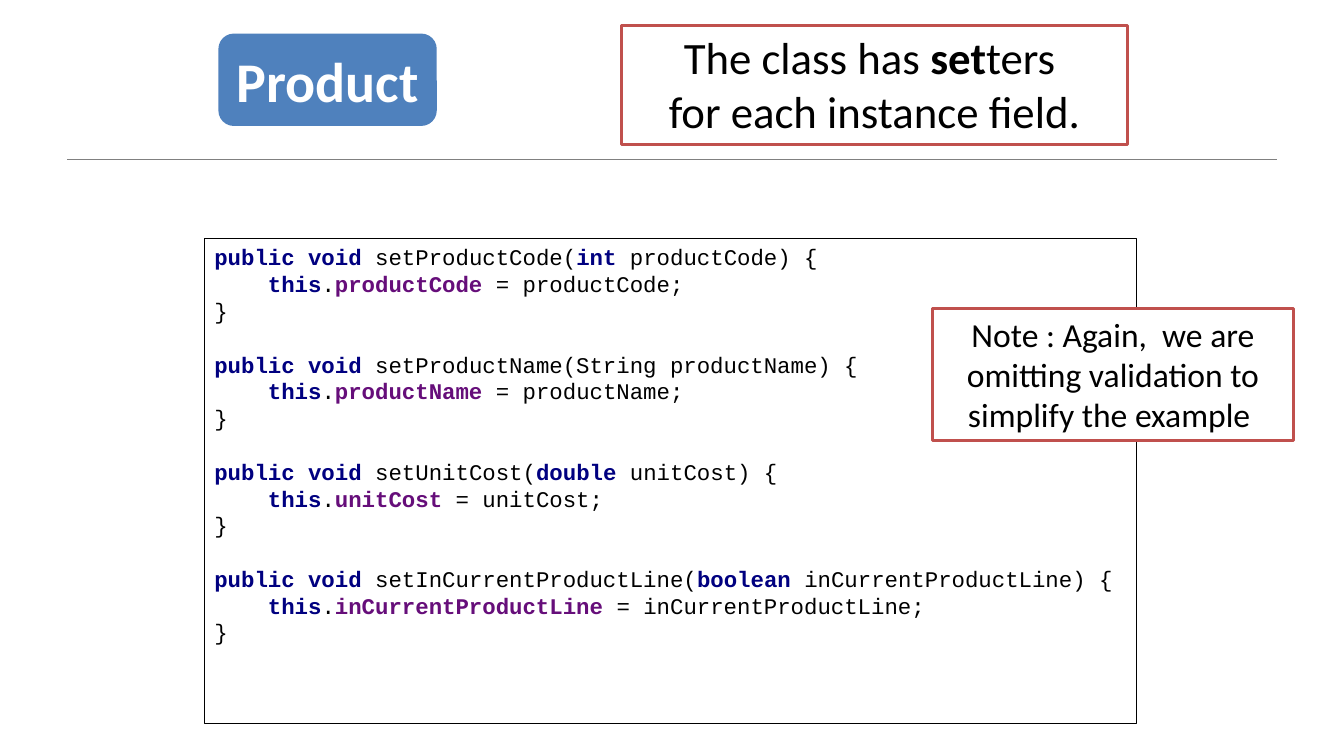
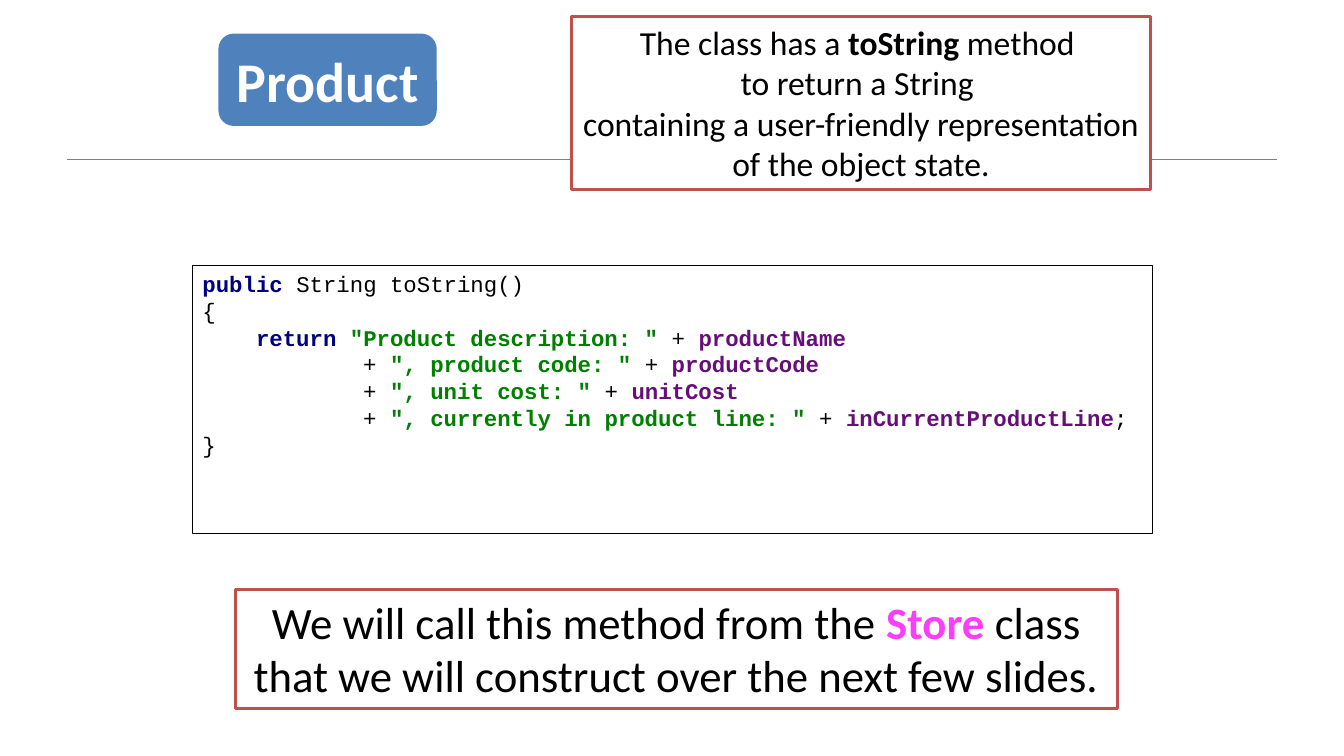
from lxml import etree
from pptx import Presentation
from pptx.dml.color import RGBColor
from pptx.enum.shapes import MSO_CONNECTOR, MSO_SHAPE
from pptx.enum.text import MSO_ANCHOR, PP_ALIGN
from pptx.oxml.ns import qn
from pptx.util import Pt

BLACK, WHITE, GRAY = "000000", "FFFFFF", "808080"
BLUE, RED, PINK = "4F81BD", "C0504D", "FA3EF9"
WORD, FIELD, QUOTE = "000080", "660E7A", "008000"
SANS, MONO = "Calibri", "Courier New"
LEAD = 19.15


def color(code):
    return RGBColor.from_string(code)


def add_box(slide, kind, area, fill, edge=None, width=1):
    box = slide.shapes.add_shape(kind, *map(Pt, area))
    box.shadow.inherit = False
    box.fill.solid()
    box.fill.fore_color.rgb = color(fill)
    if edge:
        box.line.color.rgb = color(edge)
        box.line.width = Pt(width)
    else:
        box.line.fill.background()
    return box


def write(box, lines, font, size, align, anchor):
    """Write one paragraph per line; a line is a list of (text, colour, bold)."""
    frame = box.text_frame
    frame.word_wrap = True
    frame.vertical_anchor = anchor
    for i, line in enumerate(lines):
        para = frame.add_paragraph() if i else frame.paragraphs[0]
        para.alignment = align
        for text, tint, bold in line:
            run = para.add_run()
            run.text = text
            run.font.name = font
            run.font.size = Pt(size)
            run.font.bold = bold
            run.font.color.rgb = color(tint)


def plain(text):
    return text, BLACK, False


def strong(text, tint=BLACK):
    return text, tint, True


def add_rule(slide):
    rule = slide.shapes.add_connector(
        MSO_CONNECTOR.STRAIGHT, Pt(48), Pt(114), Pt(912), Pt(114))
    rule.line.color.rgb = color(GRAY)
    rule.line.width = Pt(0.5)
    etree.SubElement(rule._element.spPr, qn("a:effectLst"))


def add_badge(slide, name):
    box = add_box(slide, MSO_SHAPE.ROUNDED_RECTANGLE, (156, 24, 156, 66), BLUE)
    write(box, [[strong(name, WHITE)]], SANS, 40, PP_ALIGN.CENTER, MSO_ANCHOR.MIDDLE)


def add_callout(slide, area, size, lines):
    box = add_box(slide, MSO_SHAPE.RECTANGLE, area, WHITE, RED, 2)
    write(box, lines, SANS, size, PP_ALIGN.CENTER, MSO_ANCHOR.TOP)


def add_code(slide, area, blocks):
    """Show blocks of code lines, one line of space between blocks."""
    box = add_box(slide, MSO_SHAPE.RECTANGLE, area, WHITE, BLACK, 0.75)
    lines = [line for block in blocks for line in block]
    write(box, lines, MONO, 16, PP_ALIGN.LEFT, MSO_ANCHOR.TOP)
    paras = box.text_frame.paragraphs
    for para in paras:
        para.line_spacing = Pt(LEAD)
    start = 0
    for block in blocks[:-1]:
        start += len(block)
        paras[start].space_before = Pt(LEAD)


def setter(kind, field):
    name = "set" + field[0].upper() + field[1:]
    style = plain if kind == "String" else lambda text: strong(text, WORD)
    return [
        [strong("public void ", WORD), plain(name + "("), style(kind + " "),
         plain(field + ") {")],
        [plain("    "), strong("this", WORD), plain("."),
         strong(field + " ", FIELD), plain(f"= {field};")],
        [plain("}")],
    ]


def describe(parts):
    """Give the code of a toString method joining (label, field) pairs."""
    lines = [[strong("public ", WORD), plain("String toString()")], [plain("{")]]
    for i, (label, field) in enumerate(parts):
        head = [plain(" " * 12 + "+ ")] if i else [plain("    "), strong("return ", WORD)]
        lines.append(head + [strong(f'"{label}: " ', QUOTE), plain("+ "),
                             strong(field, FIELD)])
    lines[-1].append(plain(";"))
    return lines + [[plain("}")]]


def add_slide(deck):
    slide = deck.slides.add_slide(deck.slide_layouts[6])
    add_rule(slide)
    add_badge(slide, "Product")
    return slide


def show_setters(deck):
    slide = add_slide(deck)
    add_callout(slide, (444, 18, 361.5, 85), 32, [
        [plain("The class has "), strong("set"), plain("ters ")],
        [plain("for each instance field.")]])
    add_code(slide, (146, 170.5, 666, 346.5), [
        setter("int", "productCode"),
        setter("String", "productName"),
        setter("double", "unitCost"),
        setter("boolean", "inCurrentProductLine")])
    add_callout(slide, (666, 220.5, 258, 94), 24, [
        [plain("Note : Again,  we are omitting validation to simplify the example ")]])


def show_string(deck):
    slide = add_slide(deck)
    add_callout(slide, (408, 12, 414, 123.5), 24, [
        [plain("The class has a "), strong("toString"), plain(" method ")],
        [plain("to return a String ")],
        [plain("containing a user-friendly representation of the object state.")]])
    add_callout(slide, (168, 421, 630, 85), 32, [
        [plain("We will call this method from the "), strong("Store ", PINK),
         plain("class that we will construct over the next few slides.")]])
    add_code(slide, (137.5, 189.5, 685.5, 191.5), [describe([
        ("Product description", "productName"),
        (", product code", "productCode"),
        (", unit cost", "unitCost"),
        (", currently in product line", "inCurrentProductLine")])])


def main():
    deck = Presentation()
    deck.slide_width, deck.slide_height = Pt(960), Pt(540)
    show_setters(deck)
    show_string(deck)
    deck.save("out.pptx")


if __name__ == "__main__":
    main()
